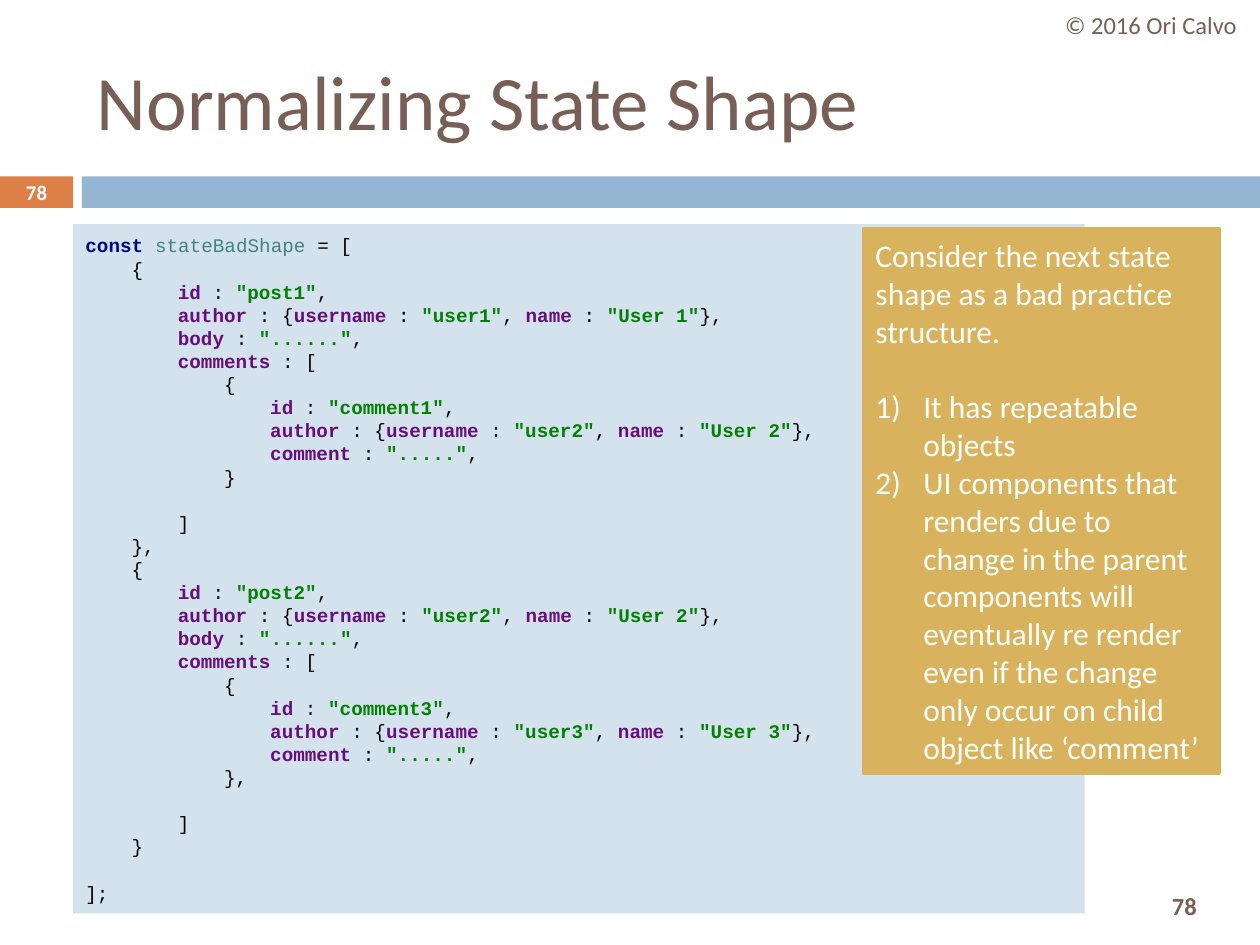
"""Build the slide about normalizing the state shape."""
from dataclasses import dataclass
from itertools import groupby

from lxml.etree import SubElement
from pptx import Presentation
from pptx.dml.color import RGBColor
from pptx.enum.shapes import MSO_SHAPE
from pptx.enum.text import MSO_ANCHOR, PP_ALIGN
from pptx.oxml.ns import qn
from pptx.util import Inches, Pt

COLORS = {
    "brown": "775F55", "orange": "DD8047", "blue": "94B6D2", "pale": "D4E2ED",
    "gold": "D8B25C", "white": "FFFFFF", "black": "000000", "keyword": "000080",
    "variable": "458383", "key": "660E7A", "string": "008000",
}
WORD_STYLES = {"const": "keyword", "stateBadShape": "variable"}
BOLD_STYLES = {"keyword", "key", "string"}
CODE_LINE = Pt(13.2)
CODE_INDENT = Pt(26.4)


@dataclass
class Panel:
    left: float
    top: float
    width: float
    height: float
    fill: str
    line: str = ""


@dataclass
class Label:
    text: str
    left: float
    top: float
    width: float
    height: float
    size: float
    color: str = "brown"
    bold: bool = False
    align: PP_ALIGN = PP_ALIGN.CENTER


@dataclass
class Post:
    number: int
    comment: int
    commenter: int
    comment_end: str
    post_end: str

    def code(self) -> list[str]:
        return [
            "    {",
            f'        id : "post{self.number}",',
            f"        {author(self.number)}",
            '        body : "......",',
            "        comments : [",
            "            {",
            f'                id : "comment{self.comment}",',
            f"                {author(self.commenter)}",
            '                comment : ".....",',
            f"            {self.comment_end}",
            "",
            "        ]",
            f"    {self.post_end}",
        ]


BARS = [Panel(0, 1.4, 0.58, 0.25, "orange"), Panel(0.65, 1.4, 9.35, 0.25, "blue")]
LABELS = [
    Label("78", 8.94, 6.98, 0.92, 0.42, 14, bold=True),
    Label("Normalizing State Shape", 0.67, 0.25, 8.92, 1.08, 44, align=PP_ALIGN.LEFT),
    Label("© 2016 Ori Calvo", 8.27, 0, 1.73, 0.4, 14),
    Label("78", 0, 1.39, 0.58, 0.27, 11.9, "white", True),
]
POSTS = [Post(1, 1, 2, "}", "},"), Post(2, 3, 3, "},", "}")]
ADVICE = "Consider the next state shape as a bad practice structure."
PROBLEMS = [
    "It has repeatable objects",
    "UI components that renders due to change in the parent components will "
    "eventually re render even if the change only occur on child object like ‘comment’",
]


def author(number: int) -> str:
    return f'author : {{username : "user{number}", name : "User {number}"}},'


def rgb(color: str) -> RGBColor:
    return RGBColor.from_string(COLORS[color])


def add_run(paragraph, text: str, size: float, color: str, bold=False, face="Calibri") -> None:
    run = paragraph.add_run()
    run.text = text
    for attribute, value in {"size": Pt(size), "bold": bold, "name": face}.items():
        setattr(run.font, attribute, value)
    run.font.color.rgb = rgb(color)


def prepare_frame(shape):
    frame = shape.text_frame
    for attribute, value in {"word_wrap": True, "vertical_anchor": MSO_ANCHOR.MIDDLE}.items():
        setattr(frame, attribute, value)
    return frame


def add_panel(slide, panel: Panel):
    box = map(Inches, (panel.left, panel.top, panel.width, panel.height))
    shape = slide.shapes.add_shape(MSO_SHAPE.RECTANGLE, *box)
    shape.shadow.inherit = False
    shape.fill.solid()
    shape.fill.fore_color.rgb = rgb(panel.fill)
    if panel.line:
        shape.line.color.rgb = rgb(panel.line)
        shape.line.width = Pt(1.5)
    else:
        shape.line.fill.background()
    return prepare_frame(shape)


def add_label(slide, label: Label) -> None:
    box = map(Inches, (label.left, label.top, label.width, label.height))
    paragraph = prepare_frame(slide.shapes.add_textbox(*box)).paragraphs[0]
    paragraph.alignment = label.align
    add_run(paragraph, label.text, label.size, label.color, label.bold)


def tokens(line: str):
    for position, part in enumerate(line.split('"')):
        if position % 2:
            yield f'"{part}"', "string"
            continue
        for is_word, letters in groupby(part, str.isalpha):
            text = "".join(letters)
            yield text, WORD_STYLES.get(text, "key") if is_word else "black"


def next_paragraph(frame):
    first = frame.paragraphs[0]
    paragraph = frame.add_paragraph() if first.runs else first
    paragraph.alignment = PP_ALIGN.LEFT
    return paragraph


def write_code(frame, lines: list[str]) -> None:
    gap = 0
    for line in lines:
        if not line:
            gap = CODE_LINE
            continue
        statement = line.lstrip()
        depth = (len(line) - len(statement)) // 4
        paragraph = next_paragraph(frame)
        paragraph.line_spacing = CODE_LINE
        paragraph.space_before = gap
        paragraph._p.get_or_add_pPr().set("marL", str(int(CODE_INDENT * depth)))
        for text, style in tokens(statement):
            add_run(paragraph, text, 11, style, style in BOLD_STYLES, "Courier New")
        gap = 0


def write_advice(frame) -> None:
    add_run(next_paragraph(frame), ADVICE, 18, "white")
    for position, problem in enumerate(PROBLEMS):
        paragraph = next_paragraph(frame)
        paragraph.space_before = Pt(0 if position else 21.6)
        properties = paragraph._p.get_or_add_pPr()
        properties.set("marL", str(Inches(0.38)))
        properties.set("indent", str(Inches(-0.38)))
        SubElement(properties, qn("a:buAutoNum"), type="arabicParenR")
        add_run(paragraph, problem, 18, "white")


def main() -> None:
    deck = Presentation()
    deck.slide_width, deck.slide_height = Inches(10), Inches(7.5)
    slide = deck.slides.add_slide(deck.slide_layouts[6])
    for bar in BARS:
        add_panel(slide, bar)
    for label in LABELS:
        add_label(slide, label)
    posts = [line for post in POSTS for line in post.code()]
    code = add_panel(slide, Panel(0.58, 1.78, 8.03, 5.47, "pale"))
    write_code(code, ["const stateBadShape = [", *posts, "", "];"])
    write_advice(add_panel(slide, Panel(6.85, 1.81, 2.83, 4.33, "gold", "gold")))
    deck.save("out.pptx")


main()
